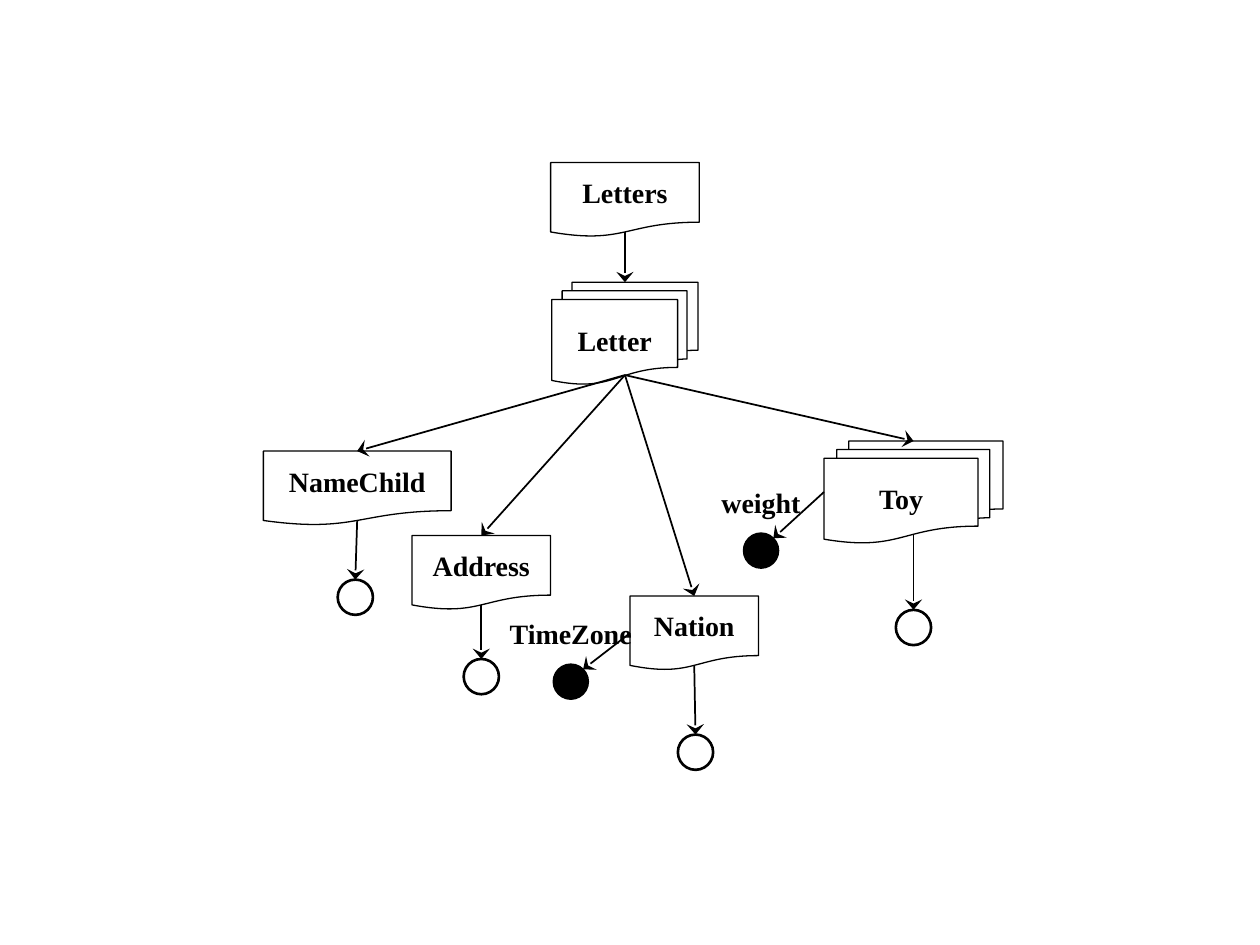
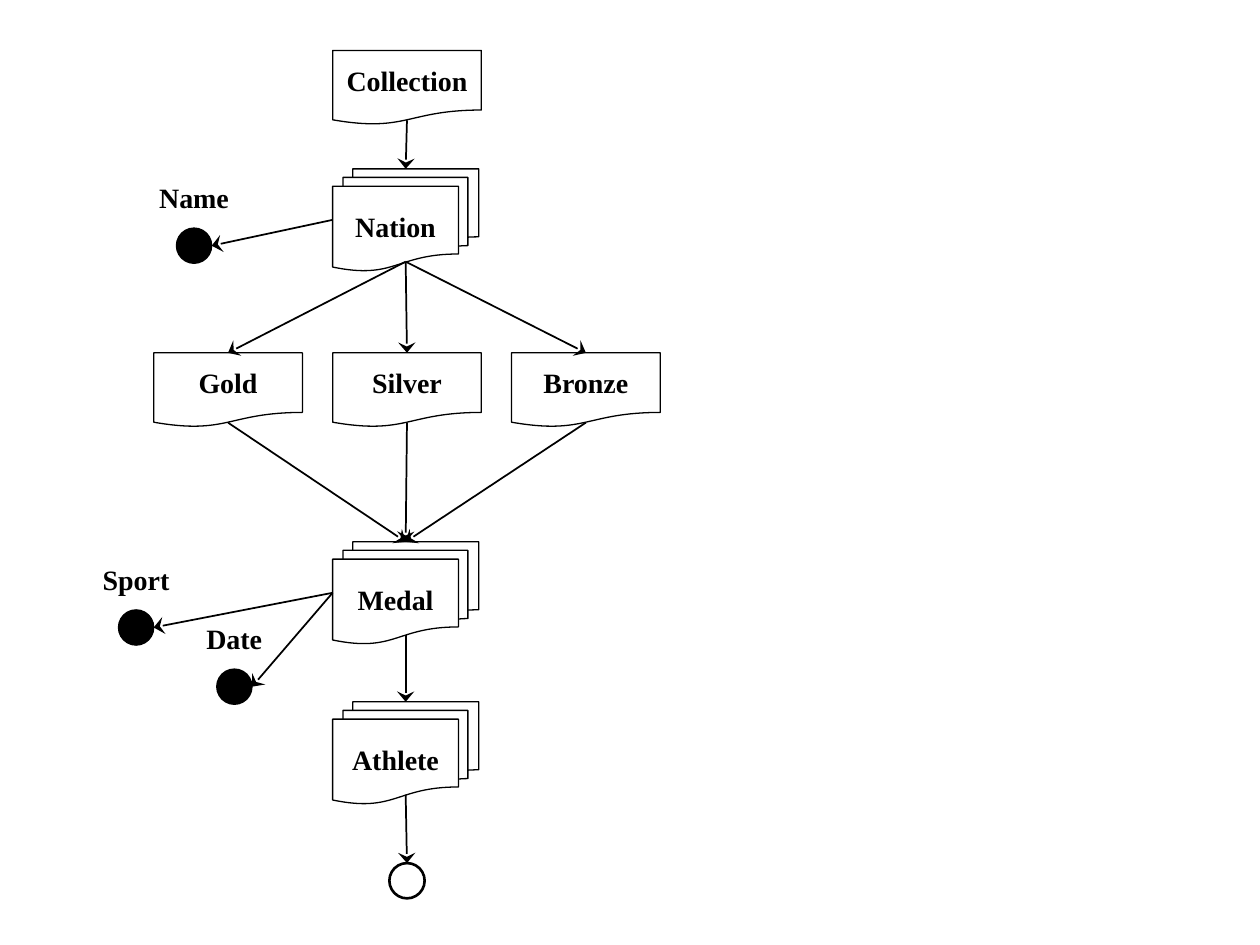
from lxml import etree
from pptx import Presentation
from pptx.dml.color import RGBColor
from pptx.enum.shapes import MSO_CONNECTOR, MSO_SHAPE
from pptx.enum.text import MSO_ANCHOR, PP_ALIGN
from pptx.oxml.ns import qn
from pptx.util import Inches, Pt

DOC = MSO_SHAPE.FLOWCHART_DOCUMENT
MULTI = MSO_SHAPE.FLOWCHART_MULTIDOCUMENT
OVAL = MSO_SHAPE.OVAL
LINE = MSO_CONNECTOR.STRAIGHT
CENTER = PP_ALIGN.CENTER
MIDDLE = MSO_ANCHOR.MIDDLE

TOP, LEFT, RIGHT, CORNER = (0.5, 0), (0, 0.5), (1, 0.5), (0.85, 0.15)
FOOT = {DOC: (0.5, 0.94), MULTI: (0.5, 0.91)}
HIGH = {DOC: 0.59, MULTI: 0.81}


def color(code):
    """Turn a hex string into a colour."""
    return RGBColor.from_string(code)


def port(shape, spot):
    """Give the point of a shape at a share of its width and height."""
    return (int(shape.left + spot[0] * shape.width),
            int(shape.top + spot[1] * shape.height))


class Tree:
    """Draw schema trees with one style, slide by slide."""

    font, size = "Times New Roman", 16
    ink, paper = "000000", "FFFFFF"
    round = 0.28
    lift = 0.38

    def __init__(self):
        """Start an empty deck."""
        self.deck = Presentation()
        self.deck.slide_width = Inches(10)
        self.deck.slide_height = Inches(7.5)

    def page(self):
        """Add a blank slide and make it current."""
        self.slide = self.deck.slides.add_slide(self.deck.slide_layouts[6])

    def name(self, shape, text):
        """Put one centred bold line in a shape."""
        frame = shape.text_frame
        frame.word_wrap = False
        frame.vertical_anchor = MIDDLE
        para = frame.paragraphs[0]
        para.text = text
        para.alignment = CENTER
        para.font.name = self.font
        para.font.size = Pt(self.size)
        para.font.bold = True
        para.font.color.rgb = color(self.ink)

    def shape(self, kind, x, y, w, h, fill, line=0.75):
        """Add an outlined shape."""
        shape = self.slide.shapes.add_shape(
            kind, Inches(x), Inches(y), Inches(w), Inches(h))
        shape.shadow.inherit = False
        shape.fill.solid()
        shape.fill.fore_color.rgb = color(fill)
        shape.line.color.rgb = color(self.ink)
        shape.line.width = Pt(line)
        return shape

    def node(self, text, x, y, w, kind=DOC):
        """Add a named element, single or repeated."""
        shape = self.shape(kind, x, y, w, HIGH[kind], self.paper)
        self.name(shape, text)
        return shape

    def link(self, start, end, out=None, into=TOP):
        """Draw an arrow between two shapes, from the foot by default."""
        out = out or FOOT[start.auto_shape_type]
        line = self.slide.shapes.add_connector(
            LINE, *port(start, out), *port(end, into))
        line.line.color.rgb = color(self.ink)
        line.line.width = Pt(1)
        props = line._element.spPr
        etree.SubElement(props.find(qn("a:ln")), qn("a:tailEnd"),
                         type="stealth", w="lg", len="med")
        etree.SubElement(props, qn("a:effectLst"))

    def ring(self, node, x, y):
        """Add a content circle below an element."""
        ring = self.shape(OVAL, x, y, self.round, self.round, self.paper, 1.5)
        self.link(node, ring)

    def dot(self, node, text, x, y, into):
        """Add an attribute dot with its label above."""
        dot = self.shape(OVAL, x, y, self.round, self.round, self.ink)
        wide, high = 1.2, 0.36
        mid = self.round / 2
        label = self.slide.shapes.add_textbox(
            Inches(x + mid - wide / 2), Inches(y + mid - self.lift - high / 2),
            Inches(wide), Inches(high))
        self.name(label, text)
        self.link(node, dot, LEFT, into)


def letters(tree):
    """Draw the tree of letters."""
    tree.page()
    root = tree.node("Letters", 4.37, 1.29, 1.18)
    letter = tree.node("Letter", 4.38, 2.24, 1.16, MULTI)
    tree.link(root, letter)
    parts = [
        ("NameChild", 2.09, 3.58, 1.49, DOC, (2.68, 4.6)),
        ("Address", 3.27, 4.25, 1.1, DOC, (3.68, 5.23)),
        ("Nation", 5, 4.73, 1.02, DOC, (5.38, 5.83)),
        ("Toy", 6.54, 3.5, 1.42, MULTI, (7.11, 4.84)),
    ]
    nodes = {}
    for name, x, y, w, kind, spot in parts:
        nodes[name] = tree.node(name, x, y, w, kind)
        tree.link(letter, nodes[name])
        tree.ring(nodes[name], *spot)
    tree.dot(nodes["Toy"], "weight", 5.9, 4.23, CORNER)
    tree.dot(nodes["Nation"], "TimeZone", 4.39, 5.27, CORNER)


def medals(tree):
    """Draw the tree of medals."""
    tree.page()
    x = 2.64
    root = tree.node("Collection", x, 0.4, 1.18)
    nation, medal, player = [
        tree.node(name, x, y, 1.16, MULTI)
        for name, y in (("Nation", 1.34), ("Medal", 4.3), ("Athlete", 5.57))]
    tree.link(root, nation)
    for i, name in enumerate(("Gold", "Silver", "Bronze")):
        award = tree.node(name, 1.22 + 1.42 * i, 2.8, 1.18)
        tree.link(nation, award)
        tree.link(award, medal)
    tree.link(medal, player)
    tree.ring(player, 3.09, 6.85)
    tree.dot(nation, "Name", 1.4, 1.81, RIGHT)
    tree.dot(medal, "Sport", 0.94, 4.84, RIGHT)
    tree.dot(medal, "Date", 1.72, 5.31, RIGHT)


def main():
    """Build and save the deck."""
    tree = Tree()
    letters(tree)
    medals(tree)
    tree.deck.save("out.pptx")


if __name__ == "__main__":
    main()
